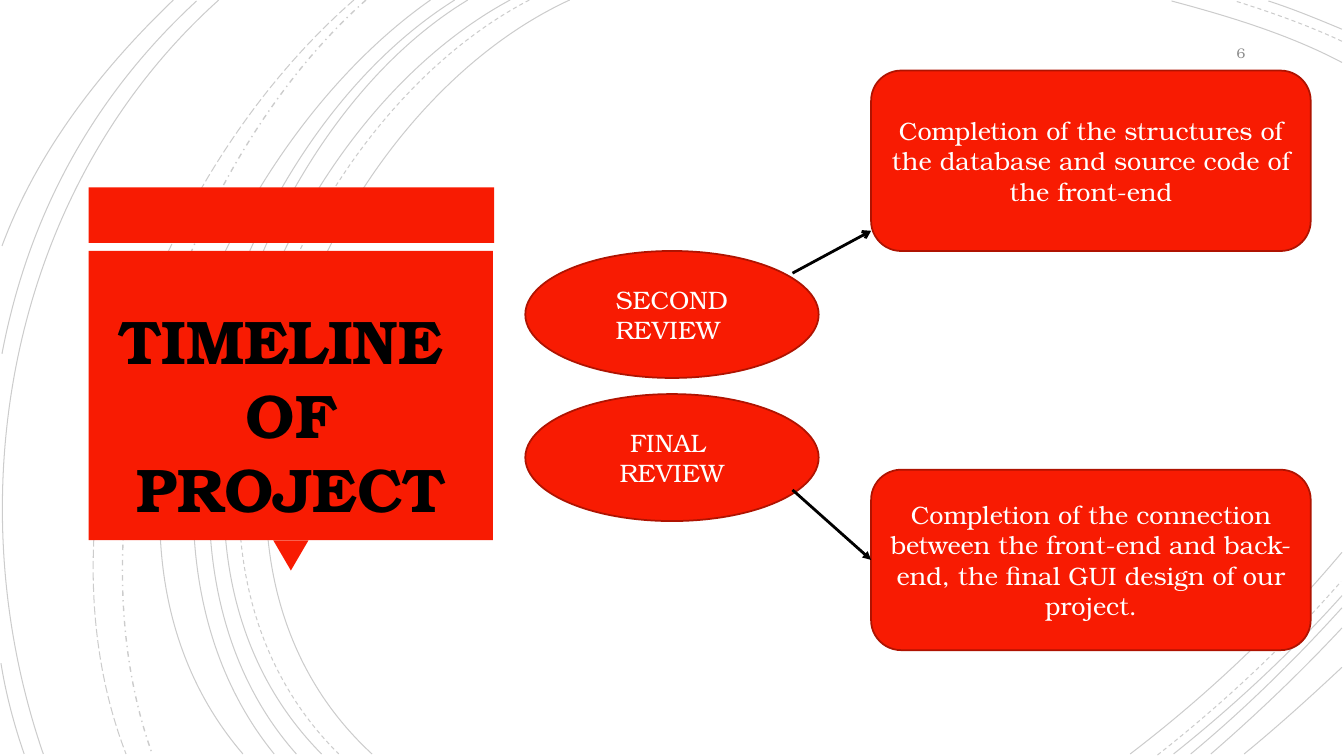
from dataclasses import dataclass
from typing import NamedTuple

from lxml.etree import SubElement
from pptx import Presentation
from pptx.dml.color import RGBColor
from pptx.enum.dml import MSO_LINE as Dash
from pptx.enum.shapes import MSO_CONNECTOR as Connector, MSO_SHAPE as Shape
from pptx.enum.text import MSO_ANCHOR as Anchor, MSO_AUTO_SIZE as AutoSize, PP_ALIGN as Align
from pptx.oxml import parse_xml
from pptx.oxml.ns import qn
from pptx.util import Inches, Pt


@dataclass(frozen=True)
class Theme:
    font: str = "TeX Gyre Bonum"
    red: str = "F81B02"
    edge: str = "AF1301"
    black: str = "000000"
    white: str = "FFFFFF"
    gray: str = "8C8C8C"
    title_size: int = 44
    body_size: int = 18
    number_size: int = 10
    arc_opacity: int = 20000


THEME = Theme()


class Arc(NamedTuple):
    points: tuple
    dash: Dash = Dash.SOLID
    width: float = 0.75


class Block(NamedTuple):
    kind: Shape
    left: float
    top: float
    width: float
    height: float
    lines: tuple = ()
    rotation: int = 0


class Arrow(NamedTuple):
    start: tuple
    end: tuple
    head: str


ARCS = (
    Arc(((5.65, 0), (3.15, 1.15), (1.43, 5.4), (3.69, 7.48))),
    Arc(((13.31, 0.62), (12.78, 0.34), (12.18, 0.16), (11.62, 0.01))),
    Arc(((11.21, 7.48), (11.97, 6.9), (12.69, 6.22), (13.31, 5.48))),
    Arc(((5.25, 0), (2.85, 1.25), (1.23, 5.37), (3.36, 7.48)), Dash.DASH),
    Arc(((13.31, 0.41), (12.97, 0.25), (12.6, 0.12), (12.25, 0.01)), Dash.DASH),
    Arc(((11.48, 7.49), (12.13, 6.98), (12.75, 6.4), (13.3, 5.77)), Dash.DASH),
    Arc(((5.06, 0), (2.7, 1.27), (1.1, 5.37), (3.19, 7.48))),
    Arc(((13.31, 0.29), (13.07, 0.19), (12.83, 0.09), (12.58, 0.01))),
    Arc(((11.64, 7.48), (12.23, 7.01), (12.8, 6.48), (13.31, 5.91))),
    Arc(((4.64, 0), (2.44, 1.33), (1.1, 5.41), (2.94, 7.48))),
    Arc(((11.81, 7.48), (12.34, 7.04), (12.84, 6.55), (13.31, 6.03))),
    Arc(((4.51, 0), (2.31, 1.38), (0.97, 5.33), (2.72, 7.48))),
    Arc(((12.01, 7.48), (12.46, 7.09), (12.9, 6.67), (13.31, 6.23))),
    Arc(((4.27, 0), (2.17, 1.47), (0.53, 5.29), (2.41, 7.48))),
    Arc(((12.34, 7.48), (12.67, 7.21), (12.99, 6.92), (13.31, 6.62))),
    Arc(((3.63, 0), (1.76, 1.66), (0.65, 5.09), (1.51, 7.48)), Dash.DASH_DOT, 1),
    Arc(((3.51, 0), (1.57, 1.69), (0.29, 4.99), (1.25, 7.48)), Dash.LONG_DASH),
    Arc(((2.17, 0), (0.11, 1.85), (-0.46, 4.9), (0.43, 7.48))),
    Arc(((1.95, 0.01), (0.92, 0.96), (0.28, 2.14), (0.02, 3.51))),
    Arc(((0.01, 6.58), (0.06, 6.89), (0.14, 7.19), (0.24, 7.48))),
    Arc(((1.72, 0), (1, 0.69), (0.37, 1.5), (0.02, 2.44))),
)

BANNER = (
    Block(Shape.RECTANGLE, 0.88, 1.86, 4.02, 0.55),
    Block(Shape.ISOSCELES_TRIANGLE, 2.71, 5.36, 0.35, 0.3, rotation=180),
    Block(Shape.RECTANGLE, 0.88, 2.49, 4.01, 2.87),
)

REVIEWS = (
    Block(Shape.OVAL, 5.21, 2.49, 2.91, 1.26, ("SECOND REVIEW ",)),
    Block(Shape.OVAL, 5.21, 3.91, 2.91, 1.26, ("FINAL ", "REVIEW")),
)

GOALS = (
    Block(Shape.ROUNDED_RECTANGLE, 8.64, 0.7, 4.36, 1.79,
          ("Completion of the structures of the database and source code of the front-end",)),
    Block(Shape.ROUNDED_RECTANGLE, 8.64, 4.66, 4.36, 1.79,
          ("Completion of the connection between the front-end and back-end, "
           "the final GUI design of our project.",)),
)

ARROWS = (
    Arrow((7.86, 2.71), (8.64, 2.29), "arrow"),
    Arrow((7.86, 4.86), (8.64, 5.56), "triangle"),
)


def color(value: str) -> RGBColor:
    return RGBColor.from_string(value)


def write(box, lines: tuple, *, size: int = THEME.body_size, ink: str = THEME.white,
          bold: bool = False, align: Align = Align.CENTER,
          anchor: Anchor = Anchor.MIDDLE) -> None:
    frame = box.text_frame
    frame.word_wrap = True
    frame.auto_size = AutoSize.NONE
    frame.vertical_anchor = anchor
    for index, line in enumerate(lines):
        para = frame.add_paragraph() if index else frame.paragraphs[0]
        para.alignment = align
        span = para.add_run()
        span.text = line
        span.font.name = THEME.font
        span.font.size = Pt(size)
        span.font.bold = bold
        span.font.color.rgb = color(ink)


def draw_arc(page, arc: Arc) -> None:
    start, *others = [tuple(map(Inches, point)) for point in arc.points]
    builder = page.shapes.build_freeform(*start)
    builder.add_line_segments(others, close=False)
    curve = builder.convert_to_shape()
    outline = curve._element.find(".//" + qn("a:path"))
    bezier = SubElement(outline, qn("a:cubicBezTo"))
    for segment in outline.findall(qn("a:lnTo")):
        bezier.append(segment[0])
        outline.remove(segment)
    curve.shadow.inherit = False
    curve.fill.background()
    curve.line.color.rgb = color(THEME.black)
    curve.line.width = Pt(arc.width)
    curve.line.dash_style = arc.dash
    ink = curve.line._get_or_add_ln().find(".//" + qn("a:srgbClr"))
    SubElement(ink, qn("a:alpha"), val=str(THEME.arc_opacity))


def draw_block(page, block: Block):
    box = page.shapes.add_shape(block.kind, Inches(block.left), Inches(block.top),
                                Inches(block.width), Inches(block.height))
    box.shadow.inherit = False
    box.rotation = block.rotation
    box.fill.solid()
    box.fill.fore_color.rgb = color(THEME.red)
    if block.lines:
        box.line.color.rgb = color(THEME.edge)
        box.line.width = Pt(1.25)
        write(box, block.lines)
    else:
        box.line.fill.background()
    return box


def draw_arrow(page, arrow: Arrow):
    link = page.shapes.add_connector(Connector.STRAIGHT, *map(Inches, arrow.start + arrow.end))
    link.line.color.rgb = color(THEME.black)
    link.line.width = Pt(2)
    SubElement(link.line._get_or_add_ln(), qn("a:tailEnd"), type=arrow.head)
    SubElement(link._element.spPr, qn("a:effectLst"))
    return link


def place_title(page) -> None:
    title = page.shapes.title
    title.left, title.top, title.width, title.height = map(Inches, (0.78, 2.96, 4.22, 2.3))
    write(title, ("TIMELINE ", "OF PROJECT"), size=THEME.title_size, ink=THEME.black,
          bold=True, anchor=Anchor.TOP)
    for para in title.text_frame.paragraphs:
        for span in para.runs:
            outline = parse_xml(
                '<a:ln xmlns:a="http://schemas.openxmlformats.org/drawingml/2006/main" w="9525">'
                f'<a:solidFill><a:srgbClr val="{THEME.white}"/></a:solidFill></a:ln>')
            span._r.get_or_add_rPr().insert(0, outline)
    page.shapes._spTree.append(title._element)


def main() -> None:
    deck = Presentation()
    deck.slide_width, deck.slide_height = Inches(13.33), Inches(7.5)
    page = deck.slides.add_slide(deck.slide_layouts[5])
    for arc in ARCS:
        draw_arc(page, arc)
    for block in BANNER:
        draw_block(page, block)
    place_title(page)
    number = page.shapes.add_textbox(*map(Inches, (11.45, 0.35, 1, 0.35)))
    write(number, ("6",), size=THEME.number_size, ink=THEME.gray, align=Align.RIGHT)
    for review in REVIEWS:
        draw_block(page, review)
    goals = [draw_block(page, goal) for goal in GOALS]
    links = [draw_arrow(page, arrow) for arrow in ARROWS]
    links[1].end_connect(goals[1], 1)
    deck.save("out.pptx")


if __name__ == "__main__":
    main()
